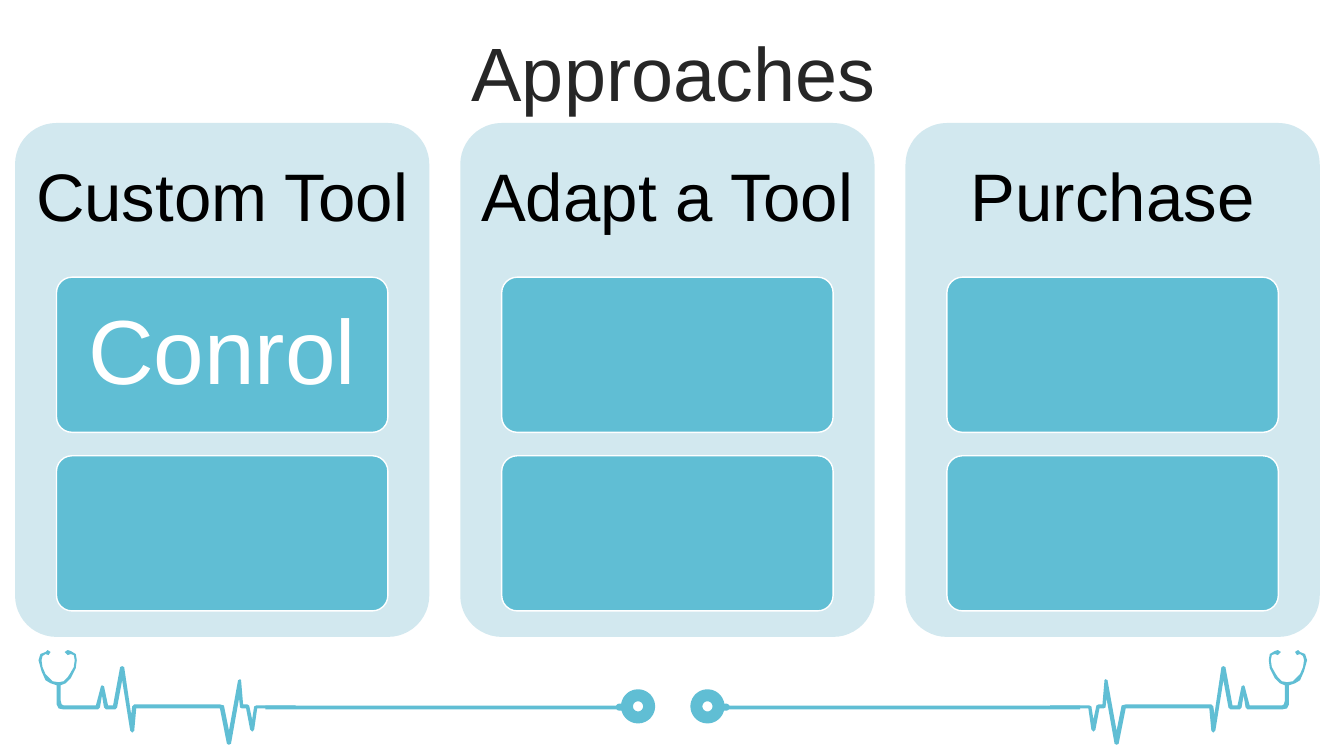
import pptx
import pptx.util
import pptx.dml.color
import pptx.enum.shapes
import pptx.enum.text

Cm = pptx.util.Cm
Pt = pptx.util.Pt
MSO = pptx.enum.shapes.MSO_SHAPE
TEXT = pptx.enum.text

COLORS = {"title": "262626", "panel": "D2E8EF", "accent": "60BED4",
          "heading": "000000", "white": "FFFFFF"}
COLUMNS = [("Custom Tool", ["Conrol", ""]),
           ("Adapt a Tool", ["", ""]),
           ("Purchase", ["", ""])]
PULSE_UNIT = Cm(0.0254)
PULSE_WIDTH = 255
PULSE = [
    (0, 10), (2, 4), (7, 2), (9, 0), (12, 2), (10, 5), (7, 4), (4, 6), (3, 10),
    (4, 17), (7, 24), (10, 27), (14, 31), (20, 32), (25, 31), (29, 27), (31, 24),
    (35, 17), (36, 10), (35, 5), (32, 4), (29, 5), (26, 2), (29, 0), (32, 1),
    (37, 4), (38, 10), (37, 18), (32, 28), (27, 33), (22, 35), (22, 50), (23, 54),
    (25, 55), (57, 55), (62, 36), (63, 35), (65, 36), (69, 55), (74, 55), (81, 17),
    (83, 16), (85, 17), (92, 64), (93, 56), (95, 54), (180, 54), (184, 55),
    (189, 80), (198, 30), (200, 29), (201, 30), (203, 54), (207, 54), (209, 55),
    (212, 69), (214, 56), (216, 55), (255, 55), (255, 58), (217, 58), (214, 79),
    (212, 81), (210, 79), (206, 58), (202, 58), (200, 57), (199, 48), (191, 93),
    (189, 94), (187, 93), (180, 58), (97, 58), (95, 80), (93, 82), (91, 80),
    (83, 30), (78, 57), (76, 59), (67, 59), (65, 57), (63, 45), (61, 57), (59, 59),
    (25, 59), (20, 58), (18, 54), (18, 35), (12, 33), (7, 30), (3, 21)]


def rgb(name):
    return pptx.dml.color.RGBColor.from_string(COLORS[name])


def paint(sp, fill=None, line=None, weight=1):
    sp.shadow.inherit = False
    if fill:
        sp.fill.solid()
        sp.fill.fore_color.rgb = rgb(fill)
    else:
        sp.fill.background()
    if line:
        sp.line.color.rgb = rgb(line)
        sp.line.width = Pt(weight)
    else:
        sp.line.fill.background()


def add_block(s, kind, left, top, width, height, fill=None, line=None, weight=1):
    sp = s.shapes.add_shape(kind, Cm(left), Cm(top), Cm(width), Cm(height))
    paint(sp, fill, line, weight)
    return sp


def write(sp, text, size, color, inset):
    tf = sp.text_frame
    tf.word_wrap = True
    tf.auto_size = TEXT.MSO_AUTO_SIZE.NONE
    tf.vertical_anchor = TEXT.MSO_ANCHOR.MIDDLE
    tf.margin_left = tf.margin_right = Cm(inset)
    tf.margin_top = tf.margin_bottom = Cm(inset)
    p = tf.paragraphs[0]
    p.text = text
    p.alignment = TEXT.PP_ALIGN.CENTER
    p.line_spacing = 0.9
    p.font.name = "Arial"
    p.font.size = Pt(size)
    p.font.color.rgb = rgb(color)


def add_title(s, left, top, width, height):
    sp = s.shapes.title
    sp.left, sp.top, sp.width, sp.height = Cm(left), Cm(top), Cm(width), Cm(height)
    write(sp, "Approaches", 54, "title", 0.13)


def add_stethoscope(s, left, top, width, mirrored):
    def place(offset, length):
        return left + (width - offset - length if mirrored else offset)

    points = [(PULSE_WIDTH - x if mirrored else x, y) for x, y in PULSE]
    builder = s.shapes.build_freeform(*points[0], scale=PULSE_UNIT)
    builder.add_line_segments(points[1:], close=True)
    pulse_left = place(0, PULSE_WIDTH * 0.0254)
    paint(builder.convert_to_shape(Cm(pulse_left), Cm(top)), "accent")

    add_block(s, MSO.OVAL, place(14.83, 0.56), top + 1.14, 0.56, 0.56,
              line="accent", weight=8.57)
    knob = add_block(s, MSO.ROUNDED_RECTANGLE, place(14.55, 0.28), top + 1.35,
                     0.28, 0.18, "accent")
    knob.adjustments[0] = 0.5
    add_block(s, MSO.RECTANGLE, place(5.72, 9.04), top + 1.4, 9.04, 0.1, "accent")


def add_column(s, left, top, width, height, heading, cards):
    panel = add_block(s, MSO.ROUNDED_RECTANGLE, left, top, width, height, "panel")
    panel.adjustments[0] = 0.1
    head_height = 0.3 * height
    head = s.shapes.add_textbox(Cm(left), Cm(top), Cm(width), Cm(head_height))
    write(head, heading, 48, "heading", 0.5)
    for i, text in enumerate(cards):
        card = add_block(s, MSO.ROUNDED_RECTANGLE, left + 0.1 * width,
                         top + head_height + 4.5 * i, 0.8 * width, 3.91,
                         "accent", "white")
        card.adjustments[0] = 0.1
        if text:
            write(card, text, 65, "white", 0.45)


def main():
    prs = pptx.Presentation()
    prs.slide_width, prs.slide_height = Cm(33.87), Cm(19.05)
    s = prs.slides.add_slide(prs.slide_layouts[5])
    add_stethoscope(s, 17.47, 16.38, 15.47, True)
    add_stethoscope(s, 0.97, 16.38, 15.47, False)
    add_title(s, 0.89, 0.94, 32.16, 2.01)
    for i, (heading, cards) in enumerate(COLUMNS):
        add_column(s, 0.38 + 11.22 * i, 3.1, 10.44, 12.95, heading, cards)
    prs.save("out.pptx")


if __name__ == "__main__":
    main()
